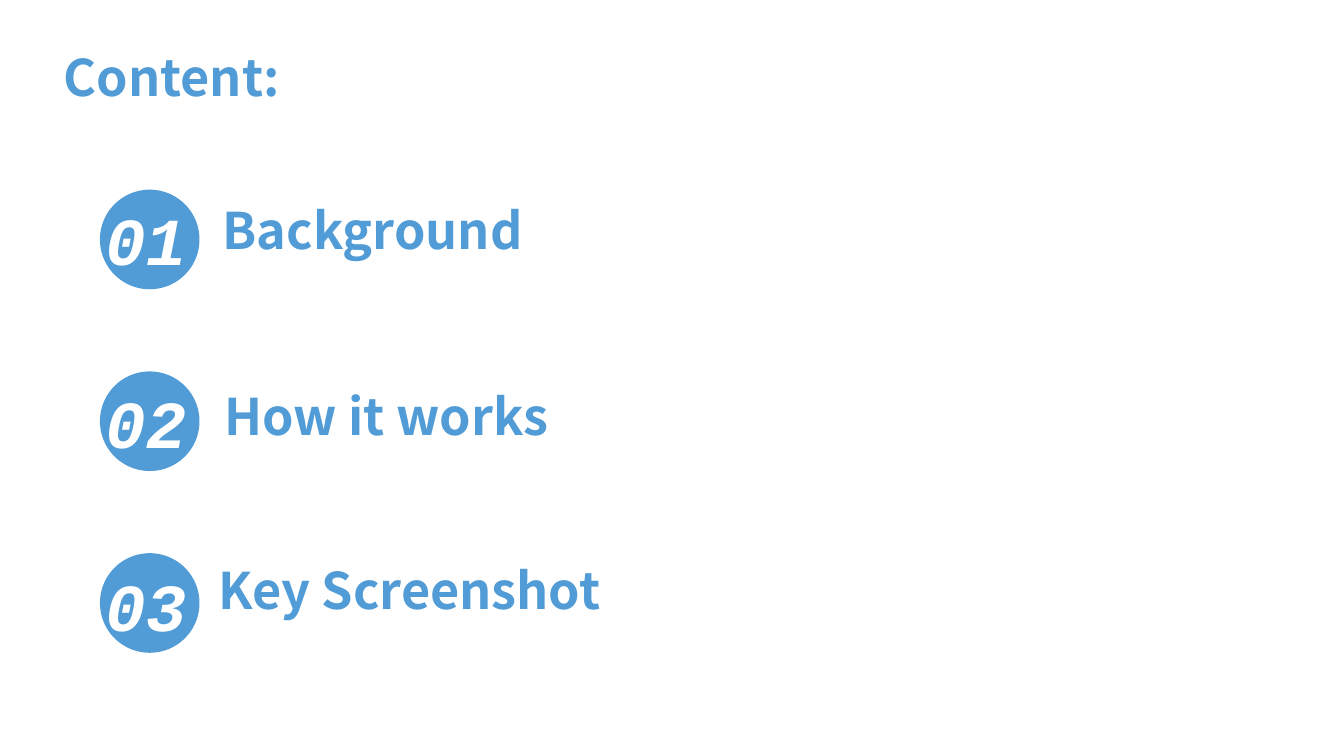
from dataclasses import dataclass

from pptx import Presentation
from pptx.dml.color import RGBColor
from pptx.enum.shapes import MSO_SHAPE
from pptx.enum.text import MSO_AUTO_SIZE
from pptx.util import Cm, Pt


@dataclass(frozen=True)
class Theme:
    blue: RGBColor = RGBColor(0x51, 0x9C, 0xD6)
    white: RGBColor = RGBColor(0xFF, 0xFF, 0xFF)
    heading_font: str = "Noto Sans CJK SC"
    number_font: str = "Courier New"
    heading_size: Pt = Pt(36)
    number_size: Pt = Pt(48)


theme = Theme()


def add_text(s, text, left, top, width, height, font, size, color, italic=None):
    tf = s.shapes.add_textbox(Cm(left), Cm(top), Cm(width), Cm(height)).text_frame
    tf.word_wrap = True
    tf.auto_size = MSO_AUTO_SIZE.SHAPE_TO_FIT_TEXT
    tf.text = text
    r = tf.paragraphs[0].runs[0]
    r.font.name = font
    r.font.size = size
    r.font.color.rgb = color
    r.font.bold = True
    r.font.italic = italic


prs = Presentation()
prs.slide_width = Cm(33.88)
prs.slide_height = Cm(19.05)
s = prs.slides.add_slide(prs.slide_layouts[6])
heading_style = (theme.heading_font, theme.heading_size, theme.blue)
number_style = (theme.number_font, theme.number_size, theme.white, True)

# Title
add_text(s, "Content:", 1.35, 1.04, 8.1, 1.78, *heading_style)

# Agenda entries: label, left, top, width
entries = [
    ("Background", 5.36, 4.9, 9.5),
    ("How it works", 5.41, 9.58, 9.55),
    ("Key Screenshot", 5.26, 13.97, 12.6),
]
for i, (label, left, top, width) in enumerate(entries):
    # Numbered disc
    disc = s.shapes.add_shape(
        MSO_SHAPE.OVAL, Cm(2.52), Cm(4.78 + 4.58 * i), Cm(2.51), Cm(2.51))
    disc.shadow.inherit = False
    disc.fill.solid()
    disc.fill.fore_color.rgb = theme.blue
    disc.line.fill.background()
    add_text(s, f"{i + 1:02d}", 2.41, 4.88 + 4.61 * i, 2.84, 2.29, *number_style)

    # Entry label
    add_text(s, label, left, top, width, 1.78, *heading_style)

prs.save("out.pptx")
